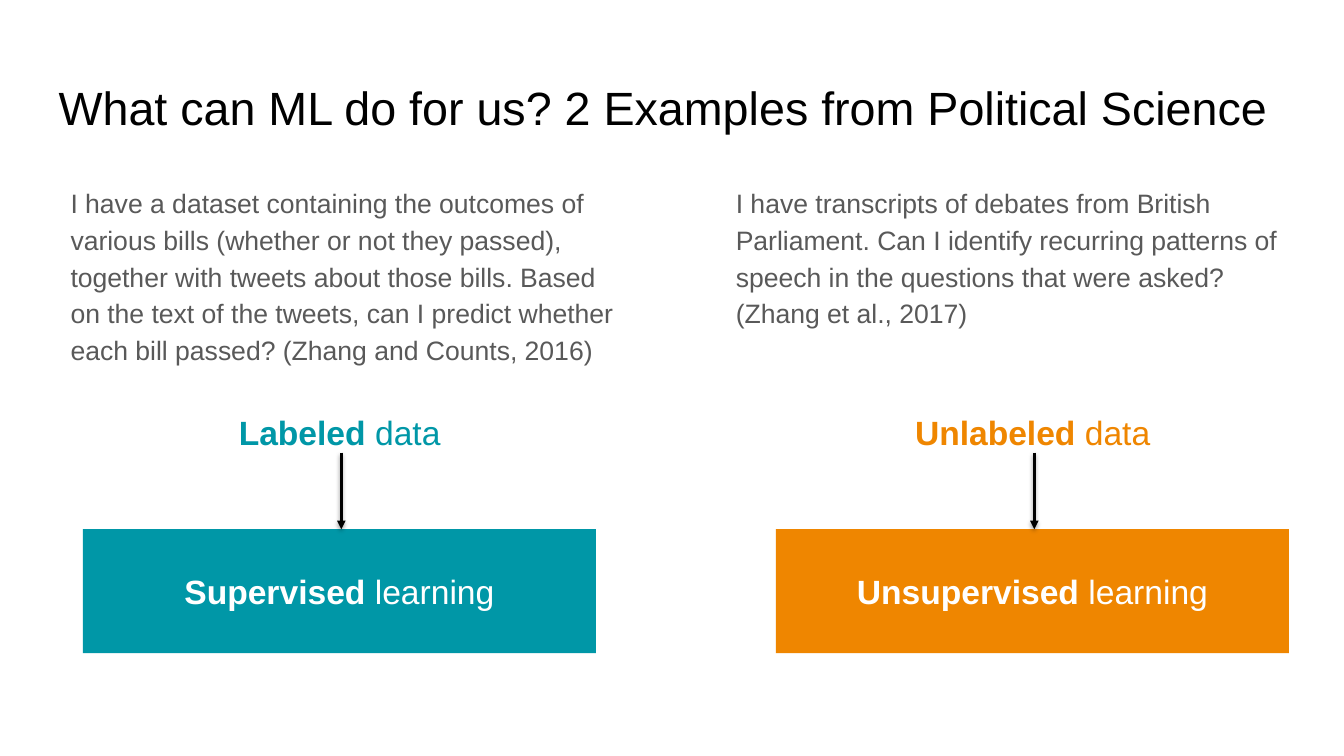
from lxml.etree import SubElement
from pptx import Presentation
from pptx.dml.color import RGBColor
from pptx.enum.shapes import MSO_CONNECTOR, MSO_SHAPE
from pptx.enum.text import MSO_ANCHOR, PP_ALIGN
from pptx.oxml.ns import qn
from pptx.util import Pt

COLORS = {
    "black": "000000",
    "white": "FFFFFF",
    "gray": "595959",
    "teal": "0097A7",
    "orange": "EF8600",
}
COLUMN_SHIFT = 495
COLUMNS = [
    (
        32.4,
        "I have a dataset containing the outcomes of various bills (whether or not they passed), "
        "together with tweets about those bills. Based on the text of the tweets, can I predict "
        "whether each bill passed? (Zhang and Counts, 2016)",
        "Labeled", "Supervised", "teal",
    ),
    (
        507.6,
        "I have transcripts of debates from British Parliament. Can I identify recurring patterns "
        "of speech in the questions that were asked? (Zhang et al., 2017)",
        "Unlabeled", "Unsupervised", "orange",
    ),
]


class SlideBuilder:
    """Draws styled elements on one slide, with lengths in points."""

    def __init__(self, slide, font="Arial"):
        self.slide = slide
        self.font = font

    def color(self, name):
        return RGBColor.from_string(COLORS[name])

    def add_runs(self, paragraph, runs, size, color):
        for text, bold in runs:
            run = paragraph.add_run()
            run.text = text
            run.font.name = self.font
            run.font.size = Pt(size)
            run.font.bold = bold
            run.font.color.rgb = self.color(color)

    def add_text(self, bounds, runs, size, color, inset=None, align=PP_ALIGN.LEFT):
        shape = self.slide.shapes.add_textbox(*map(Pt, bounds))
        frame = shape.text_frame
        frame.word_wrap = True
        if inset is not None:
            frame.margin_left = frame.margin_right = Pt(inset)
            frame.margin_top = frame.margin_bottom = Pt(inset)
        paragraph = frame.paragraphs[0]
        paragraph.alignment = align
        self.add_runs(paragraph, runs, size, color)
        return paragraph

    def add_body(self, bounds, text):
        paragraph = self.add_text(bounds, [(text, False)], 19, "gray", inset=9.4)
        paragraph.line_spacing = 1.15
        properties = paragraph._p.get_or_add_pPr()
        properties.set("marL", str(Pt(8.6)))
        properties.set("indent", "0")

    def add_box(self, bounds, runs, size, fill):
        shape = self.slide.shapes.add_shape(MSO_SHAPE.RECTANGLE, *map(Pt, bounds))
        shape.shadow.inherit = False
        shape.fill.solid()
        shape.fill.fore_color.rgb = self.color(fill)
        shape.line.fill.background()
        frame = shape.text_frame
        frame.word_wrap = True
        frame.vertical_anchor = MSO_ANCHOR.MIDDLE
        paragraph = frame.paragraphs[0]
        paragraph.alignment = PP_ALIGN.CENTER
        self.add_runs(paragraph, runs, size, "white")

    def add_arrow(self, x, top, bottom):
        connector = self.slide.shapes.add_connector(
            MSO_CONNECTOR.STRAIGHT, Pt(x), Pt(top), Pt(x), Pt(bottom))
        connector.line.width = Pt(2)
        connector.line.color.rgb = self.color("black")
        SubElement(connector.line._get_or_add_ln(), qn("a:tailEnd"), type="triangle")
        effects = SubElement(connector._element.spPr, qn("a:effectLst"))
        shadow = SubElement(effects, qn("a:outerShdw"), blurRad=str(Pt(3.1)),
                            dist=str(Pt(1.6)), dir="5400000", rotWithShape="0")
        shade = SubElement(shadow, qn("a:srgbClr"), val=COLORS["black"])
        SubElement(shade, qn("a:alpha"), val="38000")


def main():
    presentation = Presentation()
    presentation.slide_width = Pt(960)
    presentation.slide_height = Pt(540)
    builder = SlideBuilder(presentation.slides.add_slide(presentation.slide_layouts[6]))
    title = "What can ML do for us? 2 Examples from Political Science"
    builder.add_text((32.4, 46.8, 894.2, 59.8), [(title, False)], 33.3, "black", inset=9.4)
    for index, (left, question, data, learning, color) in enumerate(COLUMNS):
        shift = index * COLUMN_SHIFT
        builder.add_body((left, 121, 419.8, 358.6), question)
        builder.add_text((106.5 + shift, 290.9, 272.2, 36), [(data + " ", True), ("data", False)],
                         24, color, align=PP_ALIGN.CENTER)
        builder.add_box((59.2 + shift, 378, 366.5, 88.6),
                        [(learning, True), (" learning", False)], 24, color)
        builder.add_arrow(243.8 + shift, 323.3, 378)
    presentation.save("out.pptx")


if __name__ == "__main__":
    main()
